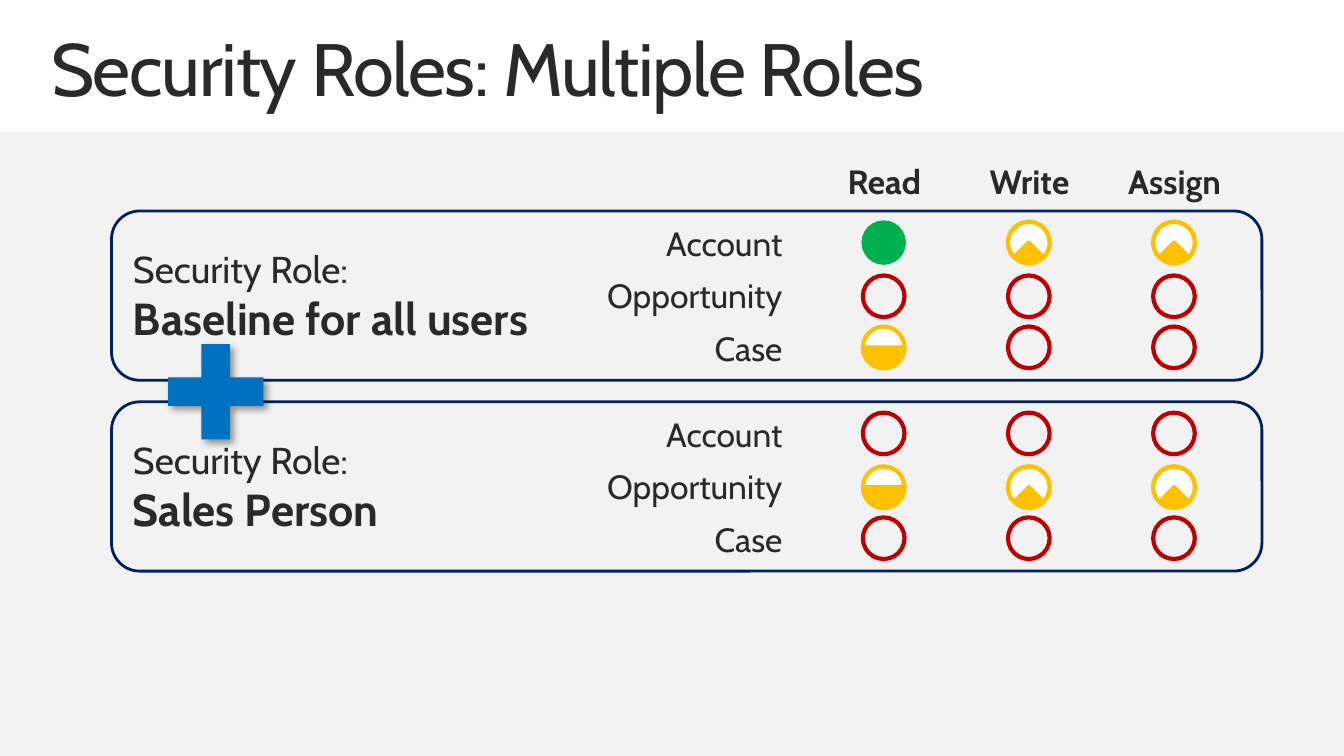
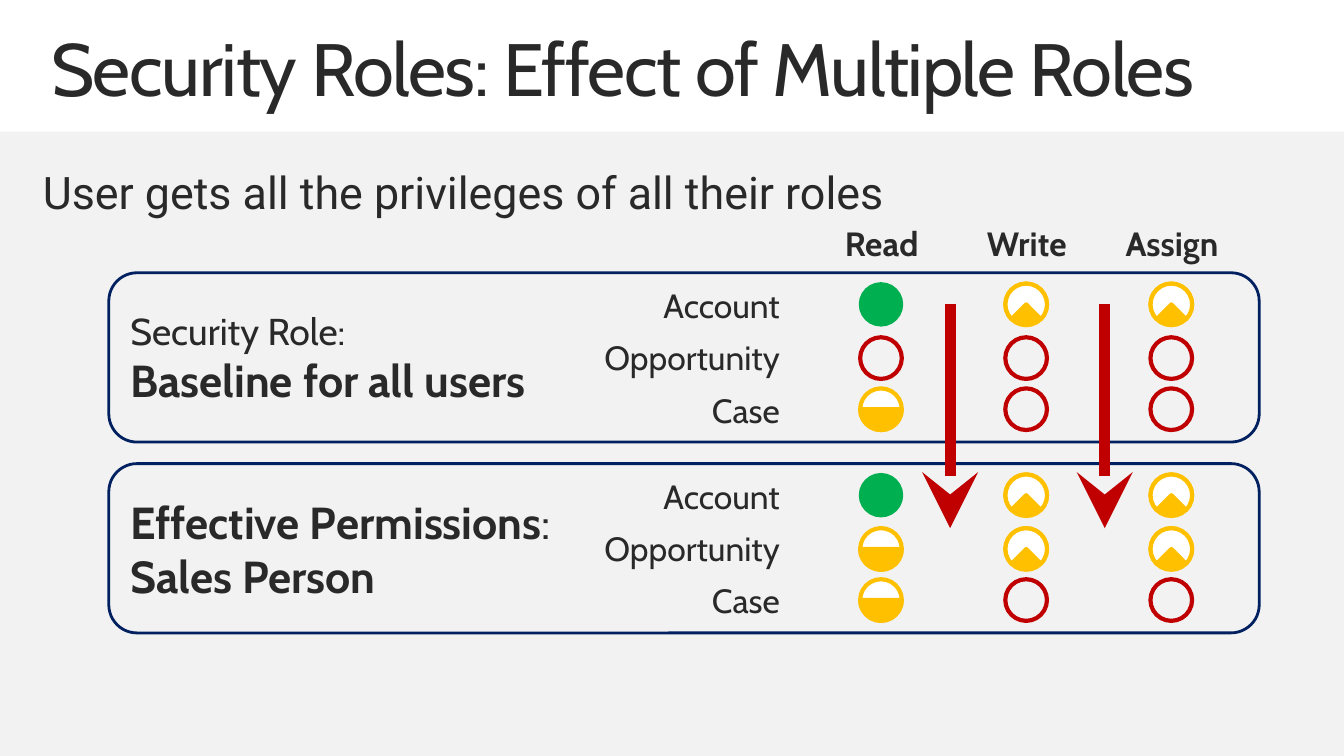
from lxml import etree
from pptx import Presentation
from pptx.dml.color import RGBColor
from pptx.enum import shapes, text
from pptx.oxml import ns
from pptx.util import Inches, Pt

INK, BAND, NAVY = "292929", "F2F2F2", "002060"
RED, AMBER, GREEN, BLUE, WHITE = "C00000", "FFC000", "00B050", "0070C0", "FFFFFF"
FONT = "Cabin"
KIND = shapes.MSO_SHAPE

PRIVILEGES = ["Read", "Write", "Assign"]
ENTITIES = ["Account", "Opportunity", "Case"]
COLUMN_STEP = 1.08
ROW_OFFSETS = [0.08, 0.48, 0.86]
DOT = 0.31
PANEL_STEP = 1.42

BASELINE_TEXT = [("Security Role:", 20, False), ("\n", 20, False),
                 ("Baseline for all users", 24, True)]
SALES_TEXT = [("Security Role:", 20, False), ("\n", 20, False),
              ("Sales Person", 24, True)]
EFFECTIVE_TEXT = [("Effective Permissions", 24, True), (":", 24, False),
                  ("\n", 24, False), ("Sales Person", 24, True)]

# One row per entity, one level per privilege
BASELINE = [["full", "wedge", "wedge"], ["none"] * 3, ["half", "none", "none"]]
SALES = [["none"] * 3, ["half", "wedge", "wedge"], ["none"] * 3]
EFFECTIVE = [["full", "wedge", "wedge"], ["half", "wedge", "wedge"],
             ["half", "none", "none"]]


def color(value):
    return RGBColor.from_string(value)


def add_figure(page, kind, left, top, width, height, fill=None, line=None, weight=2.25):
    figure = page.shapes.add_shape(kind, Inches(left), Inches(top),
                                   Inches(width), Inches(height))
    figure.shadow.inherit = False
    if fill:
        figure.fill.solid()
        figure.fill.fore_color.rgb = color(fill)
    else:
        figure.fill.background()
    if line:
        figure.line.color.rgb = color(line)
        figure.line.width = Pt(weight)
    else:
        figure.line.fill.background()
    return figure


def style_span(span, size, bold=False, font=FONT):
    span.font.name = font
    span.font.size = Pt(size)
    span.font.bold = bold
    span.font.color.rgb = color(INK)


def add_text(page, content, left, top, width, height, size, bold=False, font=FONT,
             align=text.PP_ALIGN.LEFT, anchor=text.MSO_ANCHOR.TOP, wrap=True):
    box = page.shapes.add_textbox(Inches(left), Inches(top), Inches(width), Inches(height))
    frame = box.text_frame
    frame.text = content
    frame.word_wrap = wrap
    frame.auto_size = text.MSO_AUTO_SIZE.SHAPE_TO_FIT_TEXT
    frame.vertical_anchor = anchor
    for para in frame.paragraphs:
        para.alignment = align
        for span in para.runs:
            style_span(span, size, bold, font)
    return frame


def add_base(deck, title):
    """Add a page with the grey body band and its title."""
    page = deck.slides.add_slide(deck.slide_layouts[6])
    add_figure(page, KIND.RECTANGLE, 0, 0.98, 10, 4.65, fill=BAND)
    frame = add_text(page, title, 0.22, 0.24, 9.56, 0.6, 39.7)
    frame.margin_left = frame.margin_right = Inches(0.16)
    frame.margin_top = frame.margin_bottom = 0
    para = frame.paragraphs[0]
    para.line_spacing = 0.9
    para.runs[0].font._element.set("spc", "-75")
    return page


def add_level(page, level, left, top):
    """Draw the access symbol: full, half, wedge or none."""
    fill, line, weight = {"full": (GREEN, GREEN, 1.5), "half": (WHITE, AMBER, 2.25),
                          "wedge": (AMBER, AMBER, 2.25), "none": (None, RED, 2.25)}[level]
    add_figure(page, KIND.OVAL, left, top, DOT, DOT, fill, line, weight)
    if level in ("half", "wedge"):
        pie = add_figure(page, KIND.PIE, left, top, DOT, DOT,
                         AMBER if level == "half" else WHITE, AMBER)
        pie.adjustments[0] = 0
        if level == "half":
            pie.adjustments[1] = 108.04
        else:
            pie.adjustments[1] = 162
            pie.rotation = 135


def add_headings(page, left, top):
    for column, privilege in enumerate(PRIVILEGES):
        add_text(page, privilege, left + 5.26 + column * COLUMN_STEP, top - 0.42, 0.98, 0.4,
                 18, bold=True, align=text.PP_ALIGN.CENTER, anchor=text.MSO_ANCHOR.MIDDLE)


def add_role(page, spans, levels, left, top):
    """Draw a role panel: its name, the entities and their access levels."""
    for offset, row in zip(ROW_OFFSETS, levels):
        for column, level in enumerate(row):
            add_level(page, level, left + 5.59 + column * COLUMN_STEP, top + offset)

    panel = add_figure(page, KIND.ROUNDED_RECTANGLE, left, top, 8.56, 1.26,
                       line=NAVY, weight=1.5)
    panel.text_frame.word_wrap = True
    panel.text_frame.vertical_anchor = text.MSO_ANCHOR.MIDDLE
    para = panel.text_frame.paragraphs[0]
    para.alignment = text.PP_ALIGN.LEFT
    for content, size, bold in spans:
        if content == "\n":
            para.add_line_break()
        else:
            span = para.add_run()
            span.text = content
            style_span(span, size, bold)

    labels = add_text(page, "\n".join(ENTITIES), left + 3.34, top + 0.01, 1.75, 1.22, 18,
                      align=text.PP_ALIGN.RIGHT)
    for para, spacing in zip(labels.paragraphs, [1.1, 1.3, 1.3]):
        para.line_spacing = spacing


def add_plus(page, left, top):
    plus = add_figure(page, KIND.CROSS, left, top, 0.71, 0.71, fill=BLUE)
    plus.adjustments[0] = 0.35
    effects = plus.element.spPr.find(ns.qn("a:effectLst"))
    shadow = etree.SubElement(effects, ns.qn("a:outerShdw"), blurRad=str(Pt(4)),
                              dist=str(Pt(3)), dir="2700000", algn="tl", rotWithShape="0")
    black = etree.SubElement(shadow, ns.qn("a:srgbClr"), val="000000")
    etree.SubElement(black, ns.qn("a:alpha"), val="40000")


def add_down_arrow(page, x, top, bottom):
    arrow = page.shapes.add_connector(shapes.MSO_CONNECTOR.STRAIGHT, Inches(x), Inches(top),
                                      Inches(x), Inches(bottom))
    arrow.line.color.rgb = color(RED)
    arrow.line.width = Pt(6)
    properties = arrow.element.spPr
    etree.SubElement(properties.find(ns.qn("a:ln")), ns.qn("a:tailEnd"),
                     type="stealth", w="lg", len="lg")
    etree.SubElement(properties, ns.qn("a:effectLst"))


def build_multiple_roles(deck):
    page = add_base(deck, "Security Roles: Multiple Roles")
    left, top = 0.83, 1.57
    add_headings(page, left, top)
    add_role(page, BASELINE_TEXT, BASELINE, left, top)
    add_role(page, SALES_TEXT, SALES, left, top + PANEL_STEP)
    add_plus(page, 1.25, 2.56)


def build_effect(deck):
    page = add_base(deck, "Security Roles: Effect of Multiple Roles")
    left, top = 0.81, 2.03
    add_headings(page, left, top)
    add_role(page, BASELINE_TEXT, BASELINE, left, top)
    add_role(page, EFFECTIVE_TEXT, EFFECTIVE, left, top + PANEL_STEP)
    for x in (7.07, 8.22):
        add_down_arrow(page, x, 2.26, 3.93)
    add_text(page, "User gets all the privileges of all their roles",
             0.22, 1.18, 6.7, 0.5, 24, font="Roboto", wrap=False)


def main():
    deck = Presentation()
    deck.slide_width = Inches(10)
    deck.slide_height = deck.slide_width * 9 // 16
    build_multiple_roles(deck)
    build_effect(deck)
    deck.save("out.pptx")


if __name__ == "__main__":
    main()
